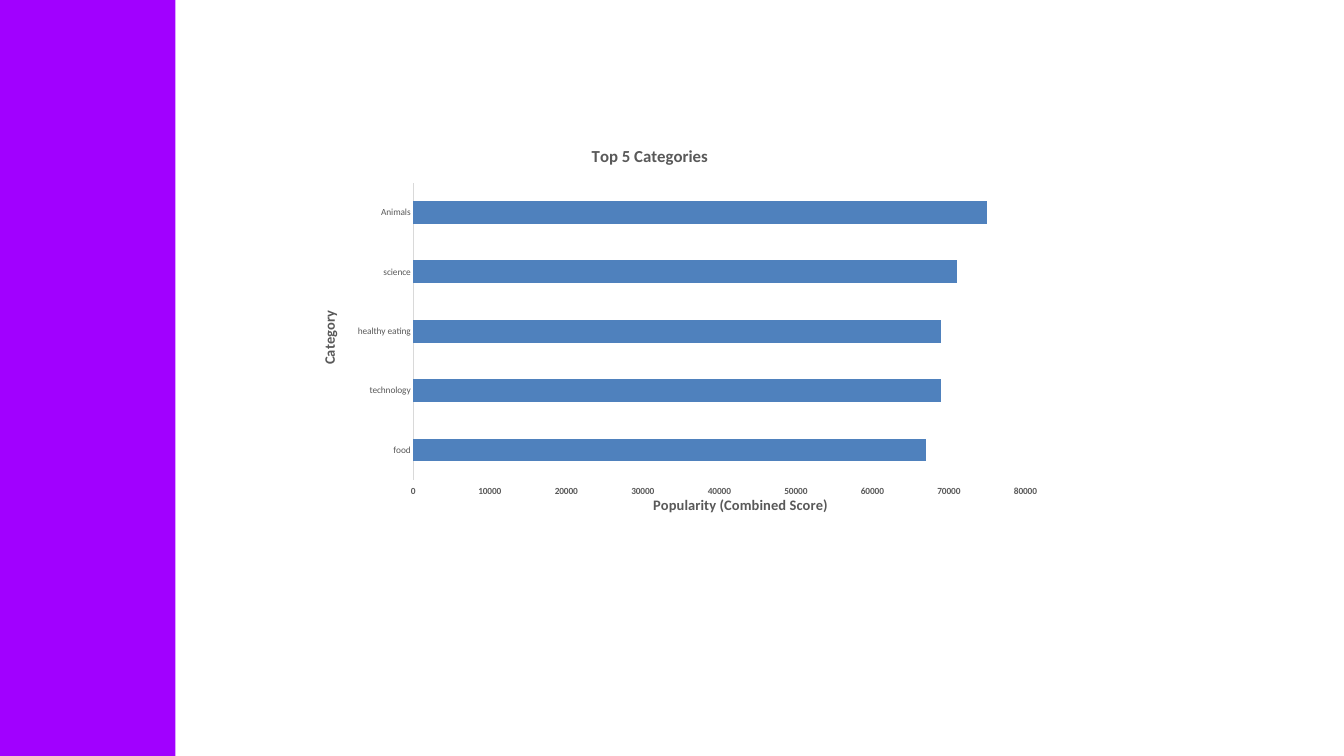
from lxml import etree
from pptx import Presentation
from pptx.chart.data import CategoryChartData as Data
from pptx.dml.color import RGBColor as RGB
from pptx.enum.chart import XL_CHART_TYPE as Kind
from pptx.enum.chart import XL_TICK_LABEL_POSITION as Label, XL_TICK_MARK as Tick
from pptx.enum.shapes import MSO_SHAPE as Shape
from pptx.oxml.ns import qn
from pptx.util import Emu, Pt

# Content
SIZE = (2000, 1125)
BAND = (0, 0, 261, 1125)
AREA = (452, 197, 1113, 606)
SCORES = {
    "Animals": 75000,
    "science": 71000,
    "healthy eating": 69000,
    "technology": 69000,
    "food": 67000,
}
# Text, size, and left and top in px within the chart
TITLES = {
    "chart": ("Top 5 Categories", 18, 424, 14),
    "cat": ("Category", 15.5, 19, 261),
    "val": ("Popularity (Combined Score)", 15.5, 516, 535),
}
PLOT = (163, 75, 911, 442)
PURPLE, BLUE, GRAY, PALE = "A100FF", "4F81BD", "595959", "D9D9D9"


def px(n):
    return Emu(n * 9144)


def color(code):
    return RGB.from_string(code)


def apply(item, style):
    for key, val in style.items():
        setattr(item, key, val)


def style_font(font, size, bold):
    apply(font, {"name": "Calibri", "size": Pt(size), "bold": bold})
    font.color.rgb = color(GRAY)


def make_layout(spots, inner=False):
    layout = etree.Element(qn("c:layout"))
    manual = etree.SubElement(layout, qn("c:manualLayout"))
    parts = {"layoutTarget": "inner"} if inner else {}
    parts |= {"xMode": "edge", "yMode": "edge"}
    # Shares of the chart's width and height
    for tag, spot, full in zip("xywh", spots, AREA[2:] * 2):
        parts[tag] = spot / full
    for tag, val in parts.items():
        etree.SubElement(manual, qn("c:" + tag)).set("val", str(val))
    return layout


def set_title(title, text, size, *spot):
    frame = title.text_frame
    frame.text = text
    style_font(frame.paragraphs[0].runs[0].font, size, True)
    node = title._element
    for old in node.findall(qn("c:layout")):
        node.remove(old)
    node.find(qn("c:tx")).addnext(make_layout(spot))
    return node


deck = Presentation()
deck.slide_width, deck.slide_height = map(px, SIZE)
slide = deck.slides.add_slide(deck.slide_layouts[6])

# Side band
band = slide.shapes.add_shape(Shape.RECTANGLE, *map(px, BAND))
band.shadow.inherit = False
band.fill.solid()
band.fill.fore_color.rgb = color(PURPLE)
band.line.fill.background()

# Bar chart
data = Data()
data.categories = list(SCORES)
data.add_series("Series 1", list(SCORES.values()))
chart = slide.shapes.add_chart(Kind.BAR_CLUSTERED, *map(px, AREA), data).chart
chart.has_legend = False
style_font(chart.font, 10, False)
plot = chart.plots[0]
apply(plot, {"gap_width": 161, "overlap": -30, "vary_by_categories": False})
fill = plot.series[0].format.fill
fill.solid()
fill.fore_color.rgb = color(BLUE)

# Axes: the reversed order puts the high end of the categories at the bottom
cat, val = chart.category_axis, chart.value_axis
for axis, bold, spot in ((cat, False, Label.NEXT_TO_AXIS), (val, True, Label.HIGH)):
    apply(axis, {
        "has_major_gridlines": False,
        "major_tick_mark": Tick.NONE,
        "minor_tick_mark": Tick.NONE,
        "tick_label_position": spot,
    })
    style_font(axis.tick_labels.font, 10, bold)
cat.reverse_order = True
apply(val, {"minimum_scale": 0, "maximum_scale": 80000, "major_unit": 10000})
apply(val.tick_labels, {"number_format": "0", "number_format_is_linked": False})
cat.format.line.color.rgb = color(PALE)
cat.format.line.width = Pt(0.75)
val.format.line.fill.background()

# Titles
chart.has_title = True
set_title(chart.chart_title, *TITLES["chart"])
set_title(val.axis_title, *TITLES["val"])
side = set_title(cat.axis_title, *TITLES["cat"])
body = next(side.iter(qn("a:bodyPr")))
body.set("rot", "-5400000")
body.set("vert", "horz")

# Plot position
area = next(chart._chartSpace.iter(qn("c:plotArea")))
for old in area.findall(qn("c:layout")):
    area.remove(old)
area.insert(0, make_layout(PLOT, inner=True))

deck.save("out.pptx")
